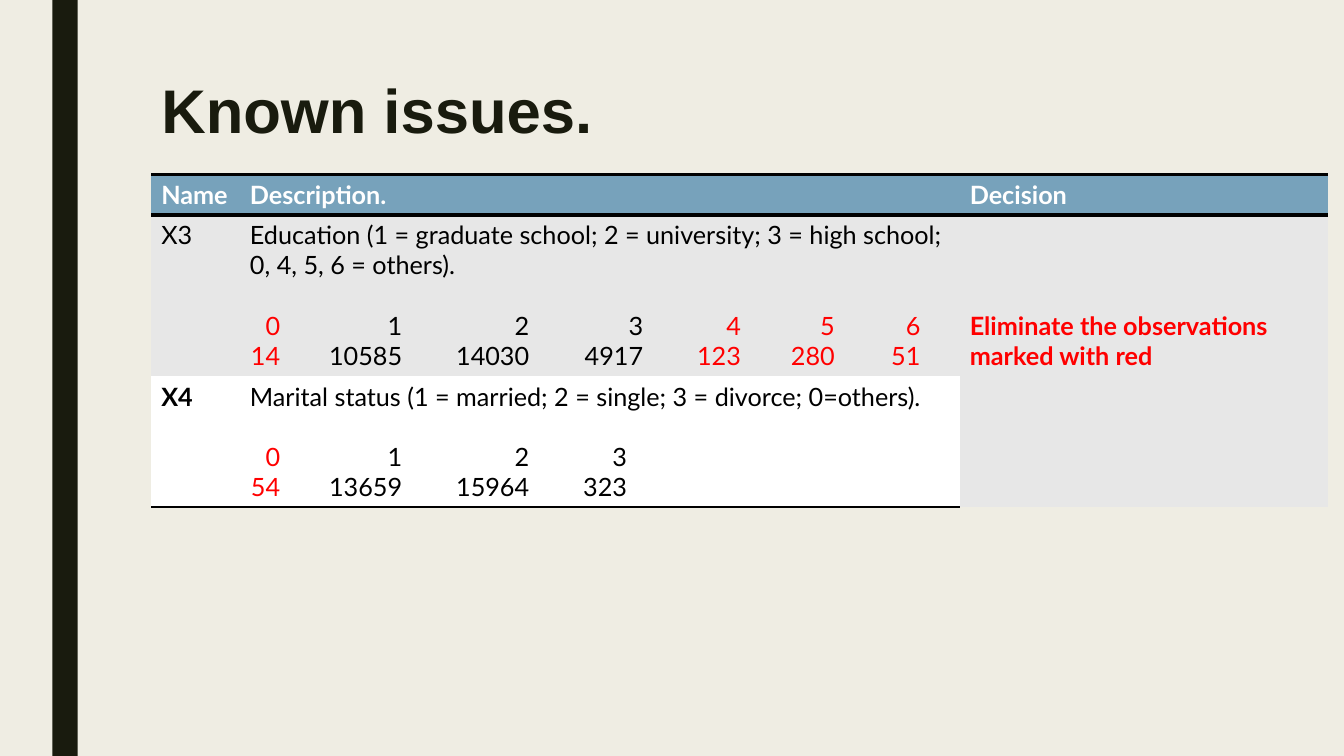
import pptx
import pptx.util
import pptx.dml.color
import pptx.enum.shapes
import pptx.enum.text
import pptx.oxml.ns
import lxml.etree

INK, PAPER, BLUE = "191B0E", "EFEDE3", "77A2BB"
GREY, WHITE, BLACK, RED = "E7E7E7", "FFFFFF", "000000", "FF0000"
WIDE, HIGH = pptx.util.Inches(13.33), pptx.util.Inches(7.5)
LINE = pptx.util.Pt(21.6)

# Table layout in percent of the slide
LEFT, TOP = 11.25, 23.07
COLS = [6.6, 53.56, 27.38]
ROWS = [5.33, 21.33, 17.33]

# Right-aligned tab stops for the counts, in inches
STOPS = [0.3, 1.51, 2.77, 3.9, 4.87, 5.8, 6.65]

# Name, bold name, fill, description, codes, counts, codes to drop
ISSUES = [
    ("X3", False, GREY,
     "Education (1 = graduate school; 2 = university; 3 = high school; "
     "0, 4, 5, 6 = others).",
     "0123456", [14, 10585, 14030, 4917, 123, 280, 51], "0456", STOPS),
    ("X4", True, WHITE,
     "Marital status (1 = married; 2 = single; 3 = divorce; 0=others).",
     "0123", [54, 13659, 15964, 323], "0", STOPS[:3] + [3.74]),
]


def across(share):
    return int(WIDE * share / 100)


def down(share):
    return int(HIGH * share / 100)


def color(code):
    return pptx.dml.color.RGBColor.from_string(code)


def paint(item, code):
    item.fill.solid()
    item.fill.fore_color.rgb = color(code)


def style(run, code, bold=False, size=18, face="Lato"):
    font = run.font
    font.name, font.size, font.bold = face, pptx.util.Pt(size), bold
    font.color.rgb = color(code)


def node(parent, tag, **attrs):
    return lxml.etree.SubElement(parent, pptx.oxml.ns.qn(tag), attrs)


def edge(cell, **sides):
    """Rule the named sides (L, R, T, B) in points and clear the others."""
    props = cell._tc.get_or_add_tcPr()
    for side in "LRTB":
        size = sides.get(side, 0)
        line = node(props, "a:ln" + side, w=str(pptx.util.Pt(size)))
        if size:
            node(node(line, "a:solidFill"), "a:srgbClr", val=BLACK)
        else:
            node(line, "a:noFill")


def write(cell, text, code, bold=False):
    cell.text_frame.text = text
    style(cell.text_frame.paragraphs[0].runs[0], code, bold)


def tally(cell, items, codes, drops, stops, gap=0):
    """Add one line of numbers set on tab stops."""
    para = cell.text_frame.add_paragraph()
    para.space_before = gap
    tabs = node(para._p.get_or_add_pPr(), "a:tabLst")
    for stop in stops:
        node(tabs, "a:tab", pos=str(pptx.util.Inches(stop)), algn="r")
    for item, code in zip(items, codes):
        run = para.add_run()
        run.text = f"\t{item}"
        style(run, RED if code in drops else BLACK)


def add_bar(slide):
    bar = slide.shapes.add_shape(
        pptx.enum.shapes.MSO_SHAPE.RECTANGLE,
        across(3.9), 0, across(1.88), HIGH)
    bar.shadow.inherit = False
    paint(bar, INK)
    bar.line.fill.background()


def add_title(slide, text):
    title = slide.shapes.title
    title.left, title.top = across(LEFT), down(10)
    title.width, title.height = across(sum(COLS)), down(15.2)
    frame = title.text_frame
    frame.text = text
    frame.vertical_anchor = pptx.enum.text.MSO_ANCHOR.TOP
    para = frame.paragraphs[0]
    para.alignment = pptx.enum.text.PP_ALIGN.LEFT
    para.line_spacing = 0.89
    style(para.runs[0], INK, True, 44, "Arial")


def add_grid(slide):
    table = slide.shapes.add_table(
        len(ROWS), len(COLS), across(LEFT), down(TOP),
        across(sum(COLS)), down(sum(ROWS))).table
    table.horz_banding = False
    for col, share in zip(table.columns, COLS):
        col.width = across(share)
    for row, share in zip(table.rows, ROWS):
        row.height = down(share)

    # Rules and fills
    rules = [{"T": 2, "B": 3}, {"T": 3}, {"B": 2}]
    fills = [BLUE] + [issue[2] for issue in ISSUES]
    for row, rule, fill in zip(table.rows, rules, fills):
        for cell in row.cells:
            edge(cell, **rule)
            paint(cell, fill)

    # Header
    for cell, text in zip(table.rows[0].cells,
                          ["Name", "Description.", "Decision"]):
        write(cell, text, WHITE, True)

    # Issues
    for num, issue in enumerate(ISSUES, 1):
        name, bold, _, text, codes, counts, drops, stops = issue
        write(table.cell(num, 0), name, BLACK, bold)
        cell = table.cell(num, 1)
        write(cell, text, BLACK)
        tally(cell, codes, codes, drops, stops, LINE)
        tally(cell, counts, codes, drops, stops)

    # Shared decision, level with the counts of the first issue
    cell = table.cell(1, 2)
    cell.merge(table.cell(2, 2))
    paint(cell, GREY)
    paint(table.cell(2, 2), GREY)
    cell.margin_top = pptx.util.Inches(0.05) + 3 * LINE
    write(cell, "Eliminate the observations marked with red", RED, True)


def main():
    deck = pptx.Presentation()
    deck.slide_width, deck.slide_height = WIDE, HIGH
    slide = deck.slides.add_slide(deck.slide_layouts[5])
    paint(slide.background, PAPER)
    add_bar(slide)
    add_title(slide, "Known issues.")
    add_grid(slide)
    deck.save("out.pptx")


main()
